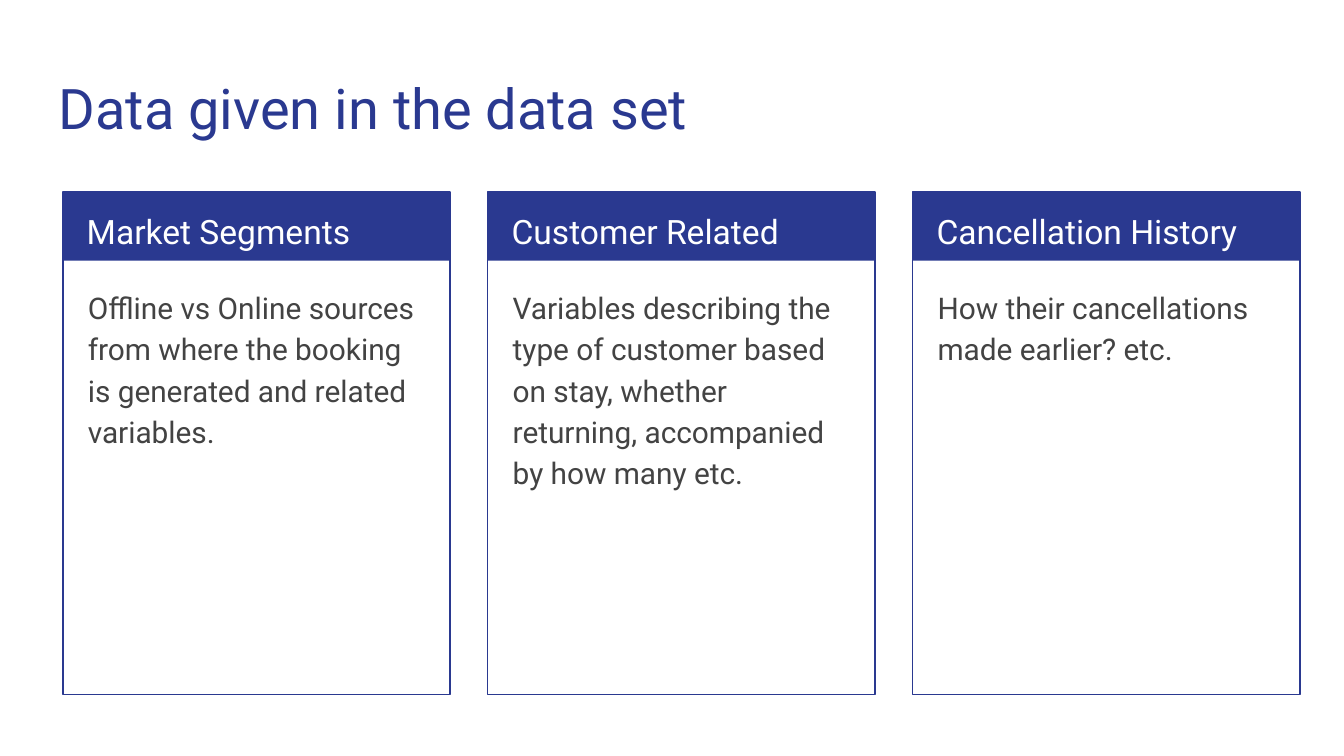
from pptx import Presentation
from pptx.dml.color import RGBColor
from pptx.enum.shapes import MSO_SHAPE as Shape
from pptx.enum.text import MSO_ANCHOR as Anchor, MSO_AUTO_SIZE as AutoSize, PP_ALIGN as Align
from pptx.oxml.xmlchemy import OxmlElement
from pptx.util import Cm, Pt

COLORS = {"navy": "2A3990", "white": "FFFFFF", "gray": "434343"}
FONT = "Roboto"
CARDS = [
    ("Market Segments",
     "Offline vs Online sources from where the booking is generated and related variables."),
    ("Customer Related",
     "Variables describing the type of customer based on stay, whether returning, "
     "accompanied by how many etc."),
    ("Cancellation History", "How their cancellations made earlier? etc."),
]

# Card grid, in centimetres
CARD_LEFT, CARD_TOP, CARD_WIDTH, CARD_HEIGHT = 1.19, 3.63, 7.32, 9.5
CARD_PITCH = 8.03
HEADER_HEIGHT = 1.3


def write_text(frame, text, size=16, color="gray", line_spacing=1.0, space_after=0):
    """Fill a text frame with one left-aligned, unbulleted paragraph."""
    frame.auto_size = AutoSize.NONE
    frame.word_wrap = True
    frame.vertical_anchor = Anchor.TOP
    frame.margin_left = frame.margin_right = Cm(0.25)
    frame.margin_top = frame.margin_bottom = Cm(0.25)
    frame.text = text
    paragraph = frame.paragraphs[0]
    paragraph.alignment = Align.LEFT
    paragraph.line_spacing = line_spacing
    paragraph.space_before = Pt(0)
    paragraph.space_after = Pt(space_after)
    properties = paragraph._p.get_or_add_pPr()
    properties.set("marL", "0")
    properties.set("indent", "0")
    properties.append(OxmlElement("a:buNone"))
    font = paragraph.runs[0].font
    font.name, font.size, font.bold = FONT, Pt(size), False
    font.color.rgb = RGBColor.from_string(COLORS[color])


class SlideBuilder:
    def __init__(self, slide):
        self.slide = slide

    def placeholder(self, idx, box, text, **style):
        holder = self.slide.placeholders[idx]
        holder.left, holder.top, holder.width, holder.height = map(Cm, box)
        write_text(holder.text_frame, text, **style)

    def label(self, box, text, **style):
        label = self.slide.shapes.add_textbox(*map(Cm, box))
        write_text(label.text_frame, text, **style)

    def rectangle(self, box, fill=None, line=None):
        rectangle = self.slide.shapes.add_shape(Shape.RECTANGLE, *map(Cm, box))
        rectangle.shadow.inherit = False
        if fill:
            rectangle.fill.solid()
            rectangle.fill.fore_color.rgb = RGBColor.from_string(COLORS[fill])
        else:
            rectangle.fill.background()
        if line:
            rectangle.line.color.rgb = RGBColor.from_string(COLORS[line])
            rectangle.line.width = Pt(0.75)
        else:
            rectangle.line.fill.background()

    def card(self, left, idx, heading, description):
        self.rectangle((left, CARD_TOP, CARD_WIDTH, HEADER_HEIGHT), fill="navy")
        self.rectangle((left, CARD_TOP, CARD_WIDTH, CARD_HEIGHT), line="navy")
        self.label((left + 0.2, CARD_TOP, 6.93, 1.27), heading,
                   size=18, color="white", line_spacing=1.15)
        self.placeholder(idx, (left + 0.22, 5.13, 6.88, 7.77), description,
                         line_spacing=1.15, space_after=16)

    def remove_empty_placeholders(self):
        for holder in list(self.slide.placeholders):
            if not holder.text_frame.text:
                holder._element.getparent().remove(holder._element)


def main():
    deck = Presentation()
    deck.slide_width, deck.slide_height = Cm(25.4), Cm(14.29)
    # The Comparison layout offers enough body placeholders for three cards
    builder = SlideBuilder(deck.slides.add_slide(deck.slide_layouts[4]))

    # Title
    builder.placeholder(0, (0.86, 1.14, 23.67, 1.68), "Data given in the data set",
                        size=30, color="navy")

    # Cards
    for column, (heading, description) in enumerate(CARDS):
        builder.card(CARD_LEFT + column * CARD_PITCH, column + 1, heading, description)

    builder.remove_empty_placeholders()
    deck.save("out.pptx")


if __name__ == "__main__":
    main()
